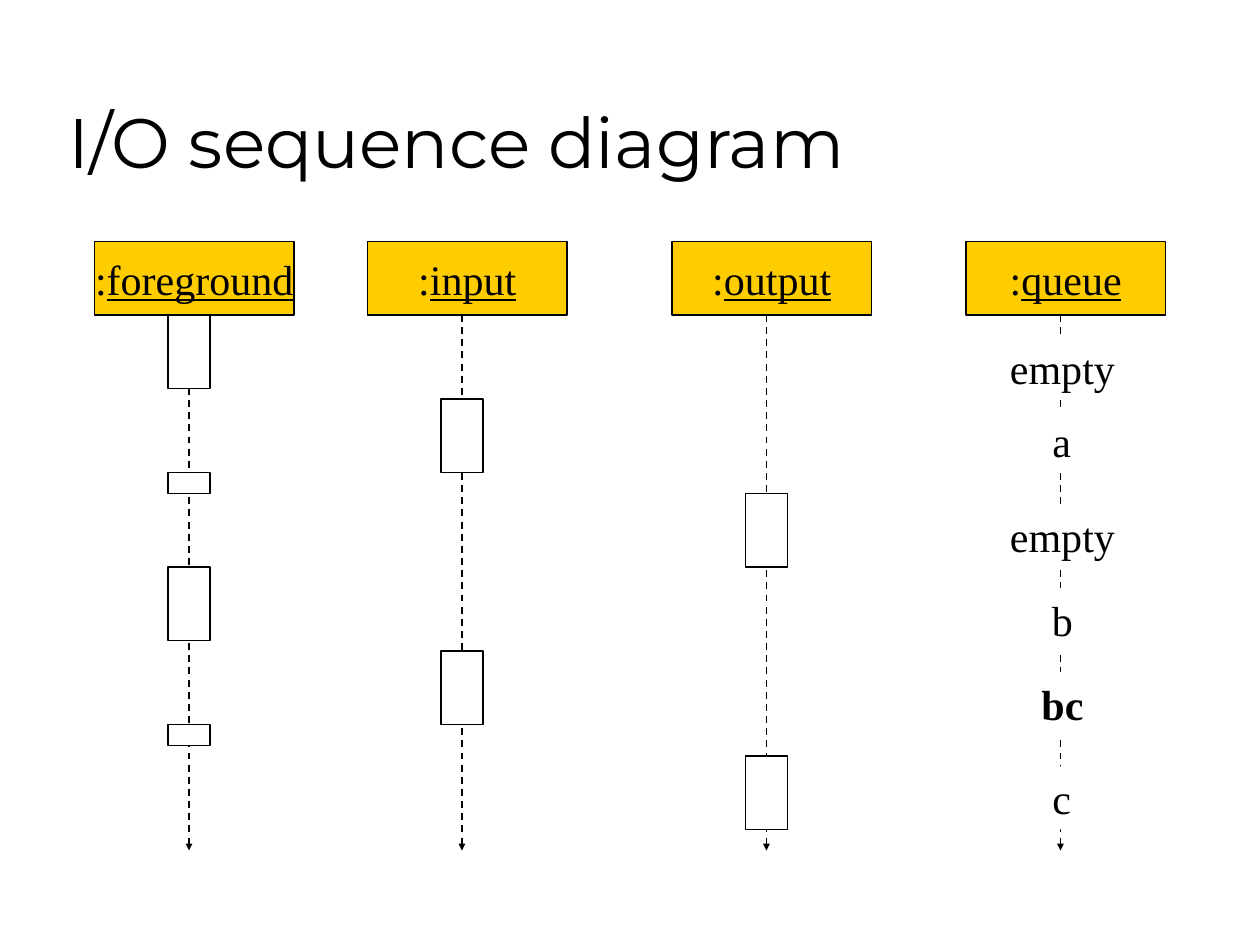
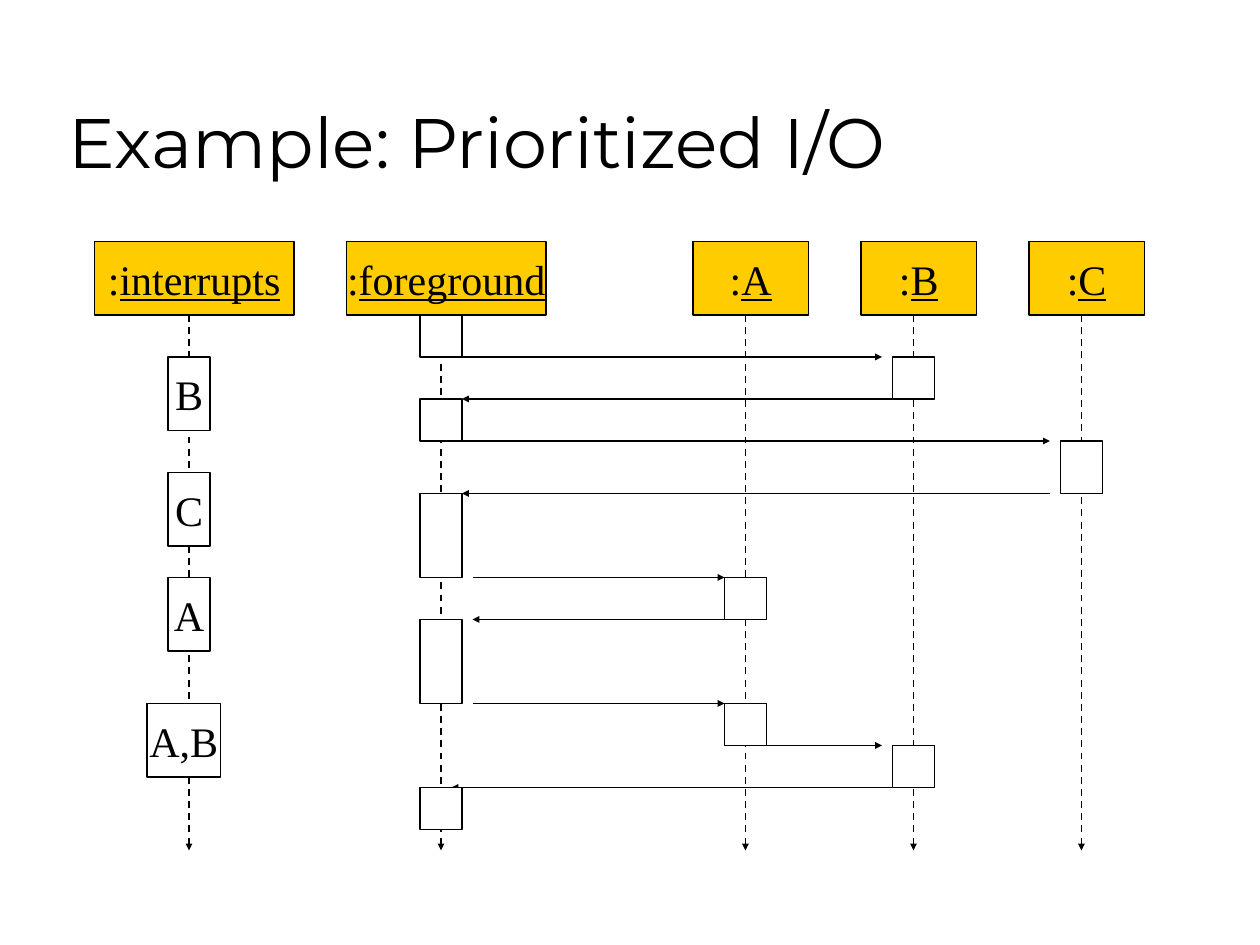
"""Builds two UML sequence diagram slides."""
from dataclasses import dataclass

from pptx import Presentation
from pptx import util as u
from pptx.dml.color import RGBColor
from pptx.enum import dml, shapes, text
from pptx.oxml import parse_xml
from pptx.oxml.ns import nsdecls, qn

SCALE = 9525
HEADER_HEIGHT = 56
BAR_WIDTH = 32
LIFELINE_SHIFT = 4
STATE_HEIGHT = 48
TITLE_BOX = (43, 24, 816, 120)
DIAGRAM_BOX = (72, 184, 816, 464)


@dataclass(frozen=True)
class Theme:
    """Colours, fonts and sizes shared by the slides."""
    ink: str = "000000"
    paper: str = "FFFFFF"
    header: str = "FFCC00"
    title_font: str = "Montserrat"
    label_font: str = "Times New Roman"
    title_size: int = 40
    label_size: int = 24
    thin: float = 0.75
    line: float = 1


THEME = Theme()


@dataclass(frozen=True)
class Participant:
    """A named object whose offsets are relative to the diagram box."""
    name: str
    left: int
    width: int = 152
    bars: tuple = ()

    @property
    def lifeline(self):
        """Return the lifeline's offset from the diagram's left edge."""
        return self.left + self.width // 2 - LIFELINE_SHIFT


def px(*lengths):
    """Turn px lengths into EMU."""
    return [u.Emu(length * SCALE) for length in lengths]


def colour(code):
    """Return the colour for a hex code."""
    return RGBColor.from_string(code)


def write(shape, content, *, prefix="", font=THEME.label_font, size=THEME.label_size,
          bold=False, underline=False, wrap=False, align=text.PP_ALIGN.CENTER,
          anchor=text.MSO_ANCHOR.MIDDLE):
    """Write one formatted paragraph into a shape, with an optional plain prefix."""
    frame = shape.text_frame
    frame.word_wrap = wrap
    frame.vertical_anchor = anchor
    paragraph = frame.paragraphs[0]
    paragraph.alignment = align
    for part, underlined in ((prefix, False), (content, underline)):
        if part:
            run = paragraph.add_run()
            run.text = part
            run.font.name = font
            run.font.size = u.Pt(size)
            run.font.bold = bold
            run.font.underline = underlined
            run.font.color.rgb = colour(THEME.ink)


def add_box(slide, box, fill=THEME.paper, outline=THEME.line):
    """Add a filled rectangle, outlined unless outline is None."""
    shape = slide.shapes.add_shape(shapes.MSO_SHAPE.RECTANGLE, *px(*box))
    shape.shadow.inherit = False
    shape.fill.solid()
    shape.fill.fore_color.rgb = colour(fill)
    if outline is None:
        shape.line.fill.background()
    else:
        shape.line.color.rgb = colour(THEME.ink)
        shape.line.width = u.Pt(outline)
    return shape


def add_arrow(slide, start, end, dashed=False):
    """Add a straight arrow between two points."""
    arrow = slide.shapes.add_connector(shapes.MSO_CONNECTOR.STRAIGHT, *px(*start, *end))
    arrow.line.color.rgb = colour(THEME.ink)
    arrow.line.width = u.Pt(THEME.line)
    if dashed:
        arrow.line.dash_style = dml.MSO_LINE.DASH
    properties = arrow._element.spPr
    properties.find(qn("a:ln")).append(
        parse_xml(f'<a:tailEnd {nsdecls("a")} type="triangle" w="sm" len="sm"/>'))
    properties.append(parse_xml(f'<a:effectLst {nsdecls("a")}/>'))


def add_title(slide, box, content):
    """Add the slide title, sitting on the bottom of its box."""
    write(slide.shapes.add_textbox(*px(*box)), content, font=THEME.title_font,
          size=THEME.title_size, wrap=True, align=text.PP_ALIGN.LEFT,
          anchor=text.MSO_ANCHOR.BOTTOM)


def add_participant(slide, box, participant):
    """Add a participant's header and dashed lifeline."""
    left, top, _, height = box
    header = add_box(slide, (left + participant.left, top, participant.width, HEADER_HEIGHT),
                     THEME.header, THEME.thin)
    write(header, participant.name, prefix=":", underline=True)
    x = left + participant.lifeline
    add_arrow(slide, (x, top + HEADER_HEIGHT), (x, top + height), dashed=True)


def add_bars(slide, box, participant):
    """Add activation bars, given as offset, height and optional label, width and shift."""
    left, top, *_ = box
    for offset, height, *details in participant.bars:
        label, width, shift = details + ["", BAR_WIDTH, 0][len(details):]
        x = left + participant.lifeline - width // 2 + shift
        bar = add_box(slide, (x, top + offset, width, height))
        if label:
            write(bar, label)


def add_states(slide, box, participant, states):
    """Add queue contents along a participant's lifeline."""
    left, top, *_ = box
    center = left + participant.lifeline + 1
    for content, offset, width, bold in states:
        state = add_box(slide, (center - width // 2, top + offset, width, STATE_HEIGHT),
                        outline=None)
        write(state, content, bold=bold, anchor=text.MSO_ANCHOR.TOP)


def add_sequence(slide, box, participants, messages=()):
    """Add a sequence diagram: participants, messages, then bars."""
    left, top, *_ = box
    for participant in participants:
        add_participant(slide, box, participant)
    for start, end, offset in messages:
        y = top + offset
        add_arrow(slide, (left + start, y), (left + end, y))
    for participant in participants:
        add_bars(slide, box, participant)


def add_slide(deck, title):
    """Add a blank slide with a title."""
    slide = deck.slides.add_slide(deck.slide_layouts[6])
    add_title(slide, TITLE_BOX, title)
    return slide


def build_io_sequence(deck):
    """Build the I/O sequence slide."""
    slide = add_slide(deck, "I/O sequence diagram")
    queue = Participant("queue", 664)
    participants = (
        Participant("foreground", 0, bars=((56, 56), (176, 16), (248, 56), (368, 16))),
        Participant("input", 208, bars=((120, 56), (312, 56))),
        Participant("output", 440, bars=((192, 56), (392, 56))),
        queue,
    )
    add_sequence(slide, DIAGRAM_BOX, participants)
    add_states(slide, DIAGRAM_BOX, queue, (
        ("empty", 72, 99, False),
        ("a", 128, 34, False),
        ("empty", 200, 99, False),
        ("b", 264, 35, False),
        ("bc", 328, 51, True),
        ("c", 400, 34, False),
    ))


def build_prioritized_io(deck):
    """Build the prioritized I/O slide."""
    slide = add_slide(deck, "Example: Prioritized I/O")
    participants = (
        Participant("interrupts", 0, bars=(
            (88, 56, "B"), (176, 56, "C"), (256, 56, "A"),
            (352, 56, "A,B", 56, -LIFELINE_SHIFT))),
        Participant("foreground", 192, bars=(
            (56, 32), (120, 32), (192, 64), (288, 64), (416, 32))),
        Participant("A", 456, 88, ((256, 32), (352, 32))),
        Participant("B", 584, 88, ((88, 32), (384, 32))),
        Participant("C", 712, 88, ((152, 40),)),
    )
    messages = (
        (280, 600, 88),
        (608, 280, 120),
        (280, 728, 152),
        (728, 280, 192),
        (288, 480, 256),
        (480, 288, 288),
        (288, 480, 352),
        (512, 600, 384),
        (608, 272, 416),
    )
    add_sequence(slide, DIAGRAM_BOX, participants, messages)


def main():
    """Build and save the deck."""
    deck = Presentation()
    deck.slide_width, deck.slide_height = px(960, 720)
    build_io_sequence(deck)
    build_prioritized_io(deck)
    deck.save("out.pptx")


if __name__ == "__main__":
    main()
